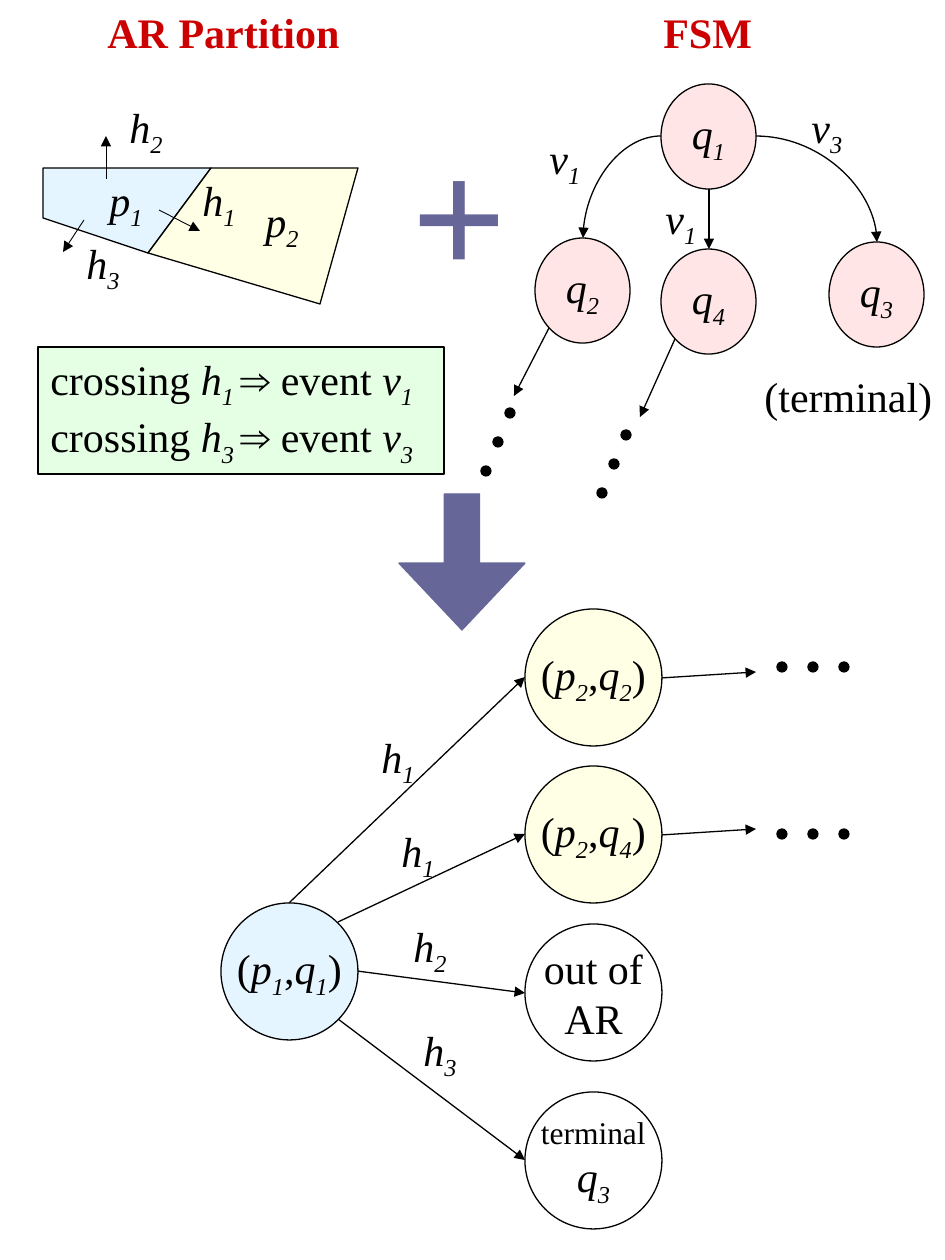
"""Slide on combining an AR partition with an FSM into a joint state graph."""
from itertools import cycle

from lxml import etree
from pptx import Presentation, util as u
from pptx.dml.color import RGBColor
from pptx.enum import shapes, text
from pptx.oxml.ns import qn

PX = 914400 / 126
FONT = "Times New Roman"
COLORS = {"ink": "000000", "title": "CC0000", "slate": "666699", "blue": "CCECFF",
          "yellow": "FFFFCC", "pink": "FFCCCC", "green": "CCFFCC"}

REGIONS = [
    ("blue", [(43, 218), (43, 168), (211, 168), (148, 253)]),
    ("yellow", [(148, 253), (211, 168), (358, 168), (320, 304)]),
]
REGION_ARROWS = [(159, 210, 200, 231), (106, 179, 106, 136), (84, 220, 63, 252)]
GRAPH_ARROWS = [
    (709, 189, 709, 249), (549, 328, 514, 396), (675, 339, 640, 417),
    (289, 903, 525, 677), (338, 922, 525, 834), (357, 971, 525, 993),
    (338, 1019, 525, 1160), (661, 678, 756, 672), (661, 835, 756, 829),
]
CURVES = [((583, 238, 661, 136), 180), ((756, 136, 877, 242), 0)]
FSM_SIZE = (95, 105)
FSM_STATES = [(661, 84, "|q|1"), (535, 238, "|q|2"), (829, 242, "|q|3"), (661, 249, "|q|4")]
JOINT_SIZE = (137, 137)
JOINT_STATES = [
    (221, 903, "blue", [("(|p|1|,|q|1|)", 24)]),
    (525, 609, "yellow", [("(|p|2|,|q|2|)", 24)]),
    (525, 766, "yellow", [("(|p|2|,|q|4|)", 24)]),
    (525, 924, None, [("out of", 24), ("AR", 24)]),
    (525, 1092, None, [("terminal", 18), ("|q|3", 24)]),
]
LABEL_SIZE = (58, 71)
LABELS = [
    (190, 168, "|h|1"), (97, 168, "|p|1"), (117, 95, "|h|2"), (74, 231, "|h|3"),
    (253, 189, "|p|2"), (369, 725, "|h|1"), (389, 819, "|h|1"), (401, 914, "|h|2"),
    (411, 1018, "|h|3"), (799, 95, "|v|3"), (537, 126, "|v|1"), (653, 186, "|v|1"),
]
CAPTIONS = [
    ((95, 0, 264, 63), "AR Partition", 24, "title", True),
    ((651, 0, 126, 63), "FSM", 24, "title", True),
    ((399, 102, 121, 214), "+", 96, "slate", True),
    ((752, 364, 193, 63), "(terminal)", 24, "ink", False),
]
RULES_BOX = (38, 347, 406, 127)
RULES = [("crossing| h|1 |⇒||| event |v|1", 24), ("crossing| h|3 |⇒||| event |v|3", 24)]
DOWN_ARROW = (399, 494, 126, 136)
DOT = 10
ELLIPSES = [(777, 662, 31, 0), (777, 829, 31, 0), (505, 408, -12, 29), (621, 430, -12, 29)]

prs = Presentation()
prs.slide_width, prs.slide_height = u.Inches(7.5), u.Inches(10)
slide = prs.slides.add_slide(prs.slide_layouts[6])


def emu(lengths):
    return [round(length * PX) for length in lengths]


def rgb(color):
    return RGBColor.from_string(COLORS[color])


def paint(shape, fill, line="ink", alpha=None):
    shape.shadow.inherit = False
    shape.line.color.rgb, shape.line.width = rgb(line), u.Pt(0.75)
    if fill is None:
        shape.fill.background()
        return
    shape.fill.solid()
    shape.fill.fore_color.rgb = rgb(fill)
    if alpha:
        tone = shape._element.spPr.find(qn("a:solidFill"))[0]
        etree.SubElement(tone, qn("a:alpha"), val=str(alpha * 1000))


def write(shape, lines, color="ink", bold=False, centred=False):
    frame = shape.text_frame
    frame.word_wrap = False
    if centred:
        frame.vertical_anchor = text.MSO_ANCHOR.MIDDLE
    else:
        frame.vertical_anchor = text.MSO_ANCHOR.TOP
        frame.auto_size = text.MSO_AUTO_SIZE.SHAPE_TO_FIT_TEXT
    for index, (line, size) in enumerate(lines):
        paragraph = frame.add_paragraph() if index else frame.paragraphs[0]
        paragraph.alignment = text.PP_ALIGN.CENTER if centred else text.PP_ALIGN.LEFT
        font = paragraph.font
        font.name, font.size, font.bold = FONT, u.Pt(size), bold
        font.color.rgb = rgb(color)
        for part, style in zip(line.split("|"), cycle(("roman", "italic", "sub"))):
            if not part:
                continue
            run = paragraph.add_run()
            run.text = part
            if style != "roman":
                run.font.italic = True
            if style == "sub":
                run._r.get_or_add_rPr().set("baseline", "-25000")
            if part == "⇒":
                run.font.name = "Arial"


def add_preset(kind, box, fill, line="ink", alpha=None, parent=slide):
    shape = parent.shapes.add_shape(kind, *emu(box))
    paint(shape, fill, line, alpha)
    return shape


def add_arrow(ends, width=0.75, kind=shapes.MSO_CONNECTOR.STRAIGHT):
    arrow = slide.shapes.add_connector(kind, *emu(ends))
    arrow.line.color.rgb, arrow.line.width = rgb("ink"), u.Pt(width)
    etree.SubElement(arrow.line._get_or_add_ln(), qn("a:tailEnd"), type="triangle")
    etree.SubElement(arrow._element.spPr, qn("a:effectLst"))
    return arrow


def add_caption(box, line, size=24, color="ink", bold=False):
    write(slide.shapes.add_textbox(*emu(box)), [(line, size)], color, bold)


for fill, corners in REGIONS:
    builder = slide.shapes.build_freeform(*corners[0], scale=PX)
    builder.add_line_segments(corners[1:], close=True)
    paint(builder.convert_to_shape(), fill, alpha=50)

for ends in REGION_ARROWS:
    add_arrow(ends, 0.5)
for ends in GRAPH_ARROWS:
    add_arrow(ends)
for ends, turn in CURVES:
    properties = add_arrow(ends, kind=shapes.MSO_CONNECTOR.CURVE)._element.spPr
    properties.find(qn("a:prstGeom")).set("prst", "curvedConnector2")
    properties.find(qn("a:xfrm")).set("rot", str(turn * 60000))

OVAL = shapes.MSO_SHAPE.OVAL
for left, top, name in FSM_STATES:
    state = add_preset(OVAL, (left, top, *FSM_SIZE), "pink", alpha=50)
    write(state, [(name, 24)], centred=True)
for left, top, fill, lines in JOINT_STATES:
    state = add_preset(OVAL, (left, top, *JOINT_SIZE), fill, alpha=50)
    write(state, lines, centred=True)

for left, top, name in LABELS:
    add_caption((left, top, *LABEL_SIZE), name)
for caption in CAPTIONS:
    add_caption(*caption)

rules = add_preset(shapes.MSO_SHAPE.RECTANGLE, RULES_BOX, "green", alpha=50)
write(rules, RULES)

down = add_preset(shapes.MSO_SHAPE.DOWN_ARROW, DOWN_ARROW, "slate", "slate")
down.adjustments[0], down.adjustments[1] = 0.28, 0.53

for left, top, dx, dy in ELLIPSES:
    dots = slide.shapes.add_group_shape()
    for step in range(3):
        add_preset(OVAL, (left + step * dx, top + step * dy, DOT, DOT), "ink", parent=dots)

prs.save("out.pptx")
